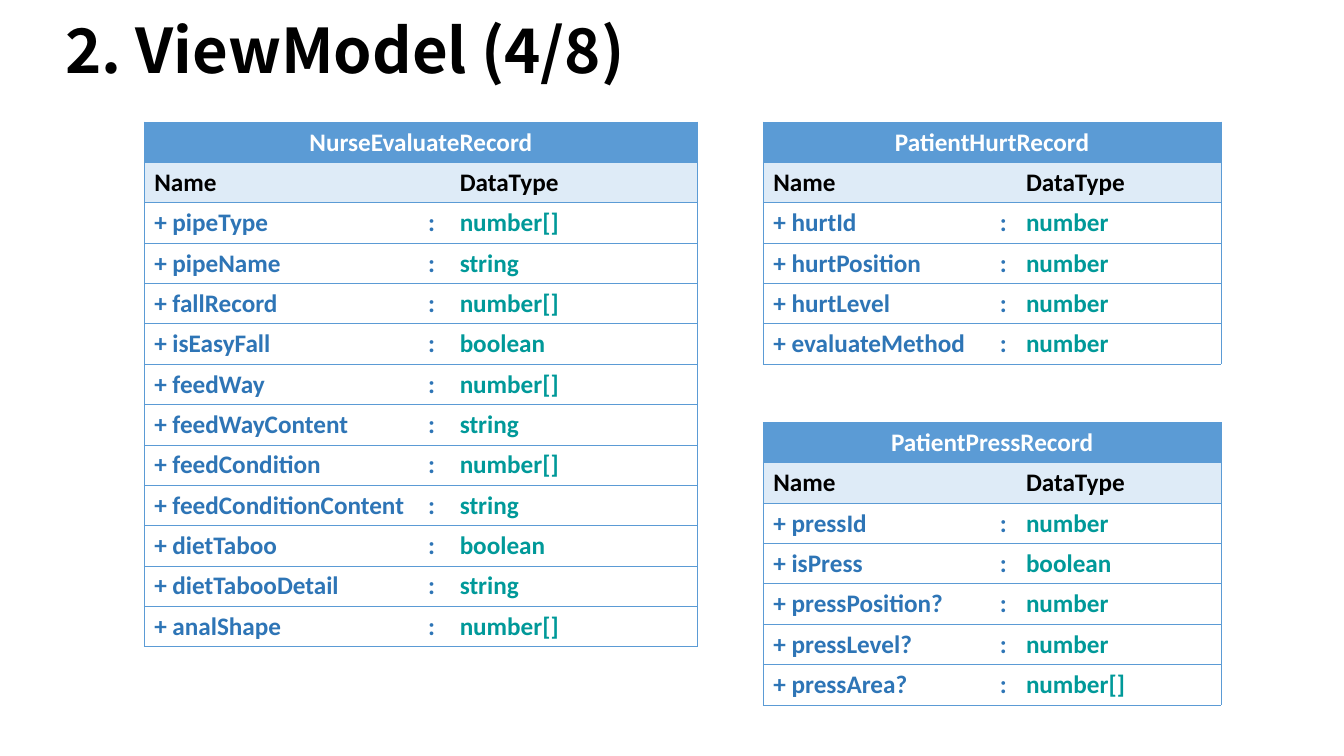
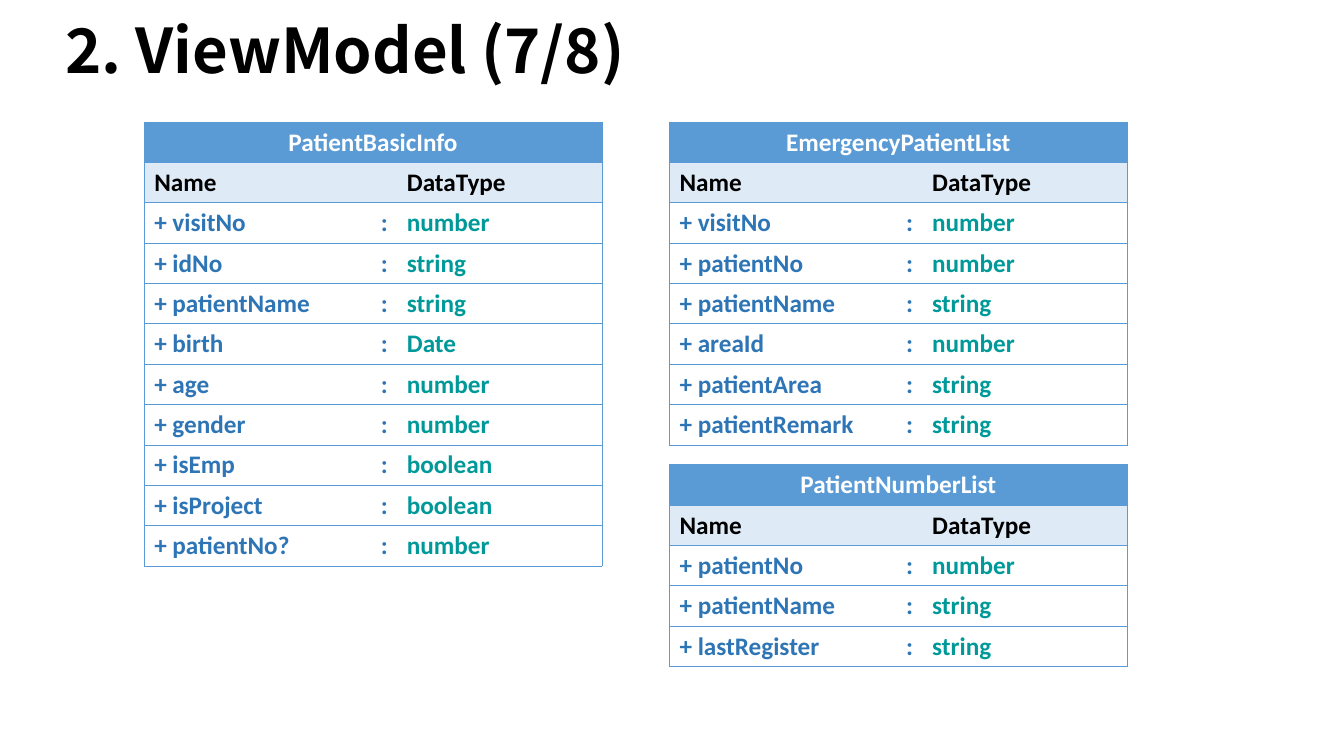
from dataclasses import dataclass

from lxml import etree
from pptx import Presentation
from pptx.dml.color import RGBColor
from pptx.enum.text import MSO_ANCHOR, PP_ALIGN
from pptx.oxml.ns import qn
from pptx.util import Inches, Pt

MIDDLE = MSO_ANCHOR.MIDDLE
LEFT, CENTER = PP_ALIGN.LEFT, PP_ALIGN.CENTER


@dataclass(frozen=True)
class Theme:
    title_font: str = "Noto Sans CJK SC"
    body_font: str = "Calibri"
    title_size: float = 44
    body_size: float = 18
    rule_width: float = 0.5
    ink: str = "000000"
    light: str = "FFFFFF"
    accent: str = "5B9BD5"
    subhead: str = "DEEBF7"
    field: str = "2E75B6"
    datatype: str = "009999"


THEME = Theme()
TITLE_BOX = (0.55, 0.14, 12.17, 0.78)
COLUMN_SHARES = (0.495, 0.057, 0.448)
ROW_HEIGHT = 0.4
LEFT_EDGE = 1.43
TOP_EDGE = 1.21
WIDTH = 4.54

NURSE_EVALUATE_RECORD = ("NurseEvaluateRecord", [
    ("pipeType", "number[]"),
    ("pipeName", "string"),
    ("fallRecord", "number[]"),
    ("isEasyFall", "boolean"),
    ("feedWay", "number[]"),
    ("feedWayContent", "string"),
    ("feedCondition", "number[]"),
    ("feedConditionContent", "string"),
    ("dietTaboo", "boolean"),
    ("dietTabooDetail", "string"),
    ("analShape", "number[]"),
])
PATIENT_HURT_RECORD = ("PatientHurtRecord", [
    ("hurtId", "number"),
    ("hurtPosition", "number"),
    ("hurtLevel", "number"),
    ("evaluateMethod", "number"),
])
PATIENT_PRESS_RECORD = ("PatientPressRecord", [
    ("pressId", "number"),
    ("isPress", "boolean"),
    ("pressPosition?", "number"),
    ("pressLevel?", "number"),
    ("pressArea?", "number[]"),
])
PATIENT_BASIC_INFO = ("PatientBasicInfo", [
    ("visitNo", "number"),
    ("idNo", "string"),
    ("patientName", "string"),
    ("birth", "Date"),
    ("age", "number"),
    ("gender", "number"),
    ("isEmp", "boolean"),
    ("isProject", "boolean"),
    ("patientNo?", "number"),
])
EMERGENCY_PATIENT_LIST = ("EmergencyPatientList", [
    ("visitNo", "number"),
    ("patientNo", "number"),
    ("patientName", "string"),
    ("areaId", "number"),
    ("patientArea", "string"),
    ("patientRemark", "string"),
])
PATIENT_NUMBER_LIST = ("PatientNumberList", [
    ("patientNo", "number"),
    ("patientName", "string"),
    ("lastRegister", "string"),
])

SLIDES = [
    ("2. ViewModel (4/8)", [
        (PATIENT_HURT_RECORD, 7.57, TOP_EDGE, WIDTH),
        (NURSE_EVALUATE_RECORD, LEFT_EDGE, TOP_EDGE, 5.49),
        (PATIENT_PRESS_RECORD, 7.57, 4.19, WIDTH),
    ]),
    ("2. ViewModel (7/8)", [
        (PATIENT_BASIC_INFO, LEFT_EDGE, TOP_EDGE, WIDTH),
        (PATIENT_NUMBER_LIST, 6.64, 4.61, WIDTH),
        (EMERGENCY_PATIENT_LIST, 6.64, TOP_EDGE, WIDTH),
    ]),
]


def write(frame, text, *, color, font=THEME.body_font, size=THEME.body_size,
          align=LEFT, line_spacing=None):
    paragraph = frame.paragraphs[0]
    paragraph.alignment = align
    paragraph.line_spacing = line_spacing
    paragraph.font.size = Pt(size)
    if text:
        run = paragraph.add_run()
        run.text = text
        run.font.name = font
        run.font.size = Pt(size)
        run.font.bold = True
        run.font.color.rgb = RGBColor.from_string(color)


def rule_cell(cell, sides):
    properties = cell._tc.get_or_add_tcPr()
    for side in "LRTB":
        line = etree.SubElement(properties, qn(f"a:ln{side}"),
                                w=str(Pt(THEME.rule_width)))
        if side in sides:
            fill = etree.SubElement(line, qn("a:solidFill"))
            etree.SubElement(fill, qn("a:srgbClr"), val=THEME.accent)
        else:
            etree.SubElement(line, qn("a:noFill"))


def fill_cell(cell, text, color, background, sides, align=LEFT):
    rule_cell(cell, sides)
    if background:
        cell.fill.solid()
        cell.fill.fore_color.rgb = RGBColor.from_string(background)
    else:
        cell.fill.background()
    write(cell.text_frame, text, color=color, align=align)


def add_title(slide, text, box):
    frame = slide.shapes.add_textbox(*map(Inches, box)).text_frame
    frame.word_wrap = True
    frame.vertical_anchor = MIDDLE
    write(frame, text, color=THEME.ink, font=THEME.title_font,
          size=THEME.title_size, line_spacing=0.9)


def add_model(slide, model, left, top, width):
    name, fields = model
    row_count = len(fields) + 2
    table = slide.shapes.add_table(
        row_count, len(COLUMN_SHARES), Inches(left), Inches(top),
        Inches(width), Inches(ROW_HEIGHT * row_count)).table
    table.first_row = table.horz_banding = False
    for column, share in zip(table.columns, COLUMN_SHARES):
        column.width = Inches(width * share)

    heading = table.cell(0, 0)
    heading.merge(table.cell(0, len(COLUMN_SHARES) - 1))
    fill_cell(heading, name, THEME.light, THEME.accent, "LRTB", CENTER)

    rows = [(("Name", "", "DataType"), (THEME.ink,) * 3, THEME.subhead)]
    field_colors = (THEME.field, THEME.field, THEME.datatype)
    rows += [((f"+ {field}", ":", datatype), field_colors, None)
             for field, datatype in fields]
    for row, (texts, colors, background) in enumerate(rows, start=1):
        for column, sides in enumerate(("LTB", "TB", "RTB")):
            fill_cell(table.cell(row, column), texts[column], colors[column],
                      background, sides)


def main():
    deck = Presentation()
    deck.slide_width, deck.slide_height = Inches(13.33), Inches(7.5)
    blank = deck.slide_layouts[6]
    for title, models in SLIDES:
        slide = deck.slides.add_slide(blank)
        add_title(slide, title, TITLE_BOX)
        for model, left, top, width in models:
            add_model(slide, model, left, top, width)
    deck.save("out.pptx")


if __name__ == "__main__":
    main()
